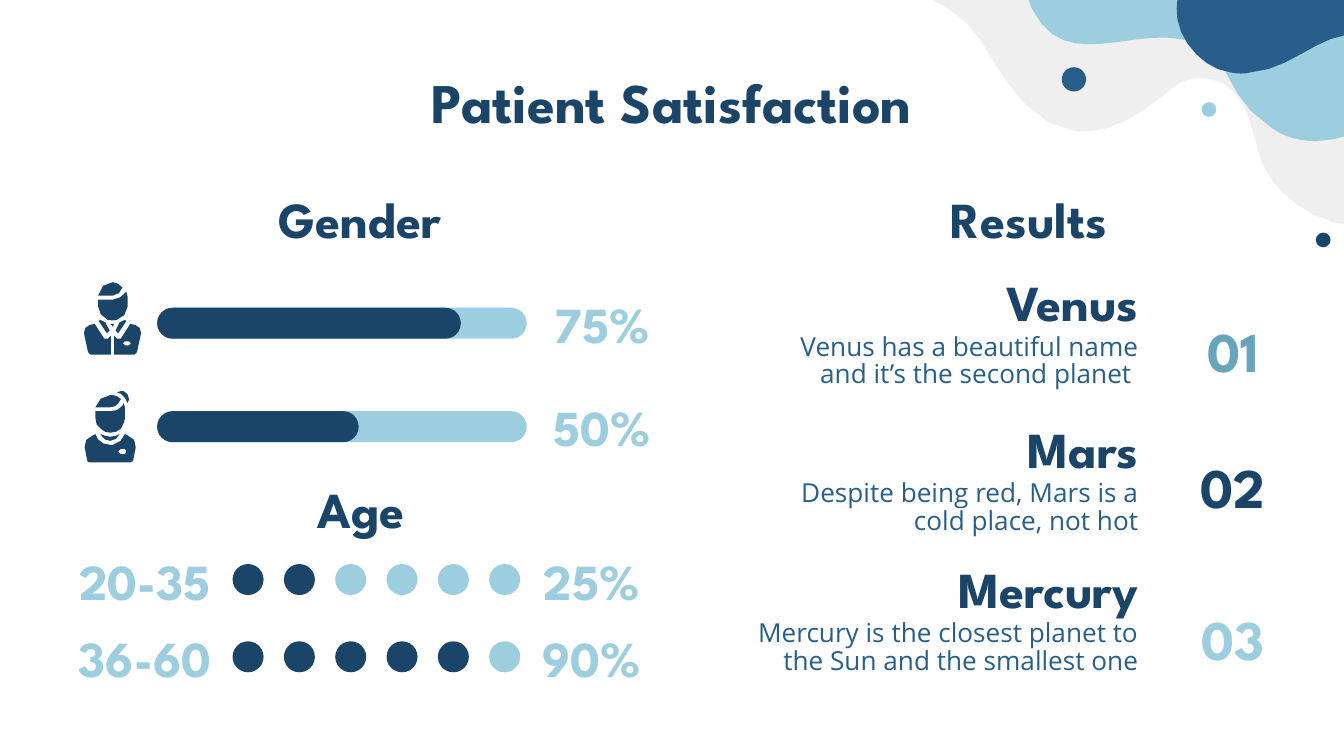
from pptx import Presentation
from pptx.dml.color import RGBColor
from pptx.enum.shapes import MSO_SHAPE
from pptx.enum.text import MSO_ANCHOR, PP_ALIGN
from pptx.util import Pt

NAVY = RGBColor(0x1A, 0x45, 0x68)
BLUE = RGBColor(0x28, 0x5E, 0x89)
TEAL = RGBColor(0x66, 0xA5, 0xBB)
SKY = RGBColor(0x9D, 0xCE, 0xDF)
GREY = RGBColor(0xEF, 0xEF, 0xEF)

DISPLAY, BODY = "League Spartan", "Open Sans"
CENTER, RIGHT = PP_ALIGN.CENTER, PP_ALIGN.RIGHT
TOP, MIDDLE = MSO_ANCHOR.TOP, MSO_ANCHOR.MIDDLE
OVAL, PILL = MSO_SHAPE.OVAL, MSO_SHAPE.ROUNDED_RECTANGLE

# Outlines are drawn on a grid with 100 units to the inch.
GRID = 0.72
WAVE_STEPS, ICON_STEPS = 6, 2
CORNER_WAVES = [
    (GREY, "M 666 -9 C 668 -6 689 -2 694 0 C 704 5 713 11 721 19 "
           "C 739 37 755 91 801 98 L 807 98 C 838 98 865 70 876 63 "
           "C 881 60 887 58 893 58 C 899 58 905 60 910 62 C 931 74 931 100 939 121 "
           "C 950 146 976 164 1005 168 C 1003 112 1007 57 1016 2 L 898 -7 L 735 -12 L 695 -13"),
    (SKY, "M 979 105 C 1005 105 1026 89 1026 89 L 1026 -8 L 762 -8 C 773 26 790 33 811 33 "
          "C 828 33 846 28 865 28 C 872 28 879 29 886 31 C 918 39 908 71 946 95 "
          "C 957 103 968 105 979 105"),
    (BLUE, "M 930 54 C 926 55 921 55 916 54 C 897 52 879 33 876 14 C 874 0 878 -21 893 -33 "
           "L 909 -39 L 921 -39 L 1061 -31 L 1074 -32 L 1071 0 C 1069 10 1065 27 1055 33 "
           "L 1047 35 C 1035 36 1023 25 1004 26 L 1002 26 C 978 29 959 52 930 54"),
]

MAN_AXIS = 83.75
MAN_FACE = ("M 94 217 C 92 220 88 223 84 223 L 73 223 L 73 228 C 73 232 76 236 80 238 "
            "L 84 238.5 L 87 238 C 91 237 95 233 95 228 L 95 221 L 94 217")
MAN_HAIR = "M 84 210 C 78 210 74 214 73 220 L 84 220 C 87 220 91 217 91 214 C 89 212 87 210 84 210"
MAN_KNOT = "M 82 241 L 84 243 L 85 241"
COLLAR = "M 93 238 L 89 240 L 86 246 L 88 248 L 94 239"
JACKET = ("M 97 241 L 90 252 L 87 252 L 85 250 L 85 264 L 100 264 "
          "L 102 262 L 105 248 C 105 245 104 243 101 242")
MAN_BADGE = " M 96 254 C 98 254 98 257 96 257 L 93 257 C 91 257 91 254 93 254"

WOMAN = [
    "M 82 294 C 77 294 72 298 71 303 L 82 303 C 85 303 87 302 88 300 L 90 297 "
    "C 88 295 86 294 84 294",
    "M 92 300 L 91 302 C 89 305 86 306 82 306 L 71 306 L 71 311 L 72 316 L 75 319 "
    "C 77 321 79 322 82 322 C 85 322 88 321 90 319 L 91 317 C 92 315 93 313 93 311 L 93 303",
    "M 89 323 C 87 324 85 325 82 325 C 80 325 77 324 75 323 L 76 325 "
    "C 77 327 80 328 82 328 C 85 328 88 326 89 323",
    "M 90 291 L 87 292 L 90 293 L 93 296 L 95 300 L 96 297 C 96 294 94 292 92 291",
    "M 93 334 L 94 336 L 93 338 L 90 338 L 88 336 L 90 334 "
    "M 71 323 L 69 324 C 65 325 62 329 63 333 L 65 343 L 66 344 L 97 344 L 99 343 L 101 333 "
    "C 102 329 99 325 95 324 L 93 323 C 92 327 88 330 84 331 L 82 331 C 79 331 75 330 73 327",
]


def paint(shape, color):
    shape.fill.solid()
    shape.fill.fore_color.rgb = color
    shape.line.fill.background()
    shape.shadow.inherit = False


def curve_points(start, c1, c2, end, steps):
    """Return points along a cubic Bezier curve, without its start."""
    points = []
    for step in range(1, steps + 1):
        t = step / steps
        u = 1 - t
        points.append(tuple(
            u**3 * a + 3 * u * u * t * b + 3 * u * t * t * c + t**3 * d
            for a, b, c, d in zip(start, c1, c2, end)))
    return points


def contours(outline, steps):
    """Turn M, L and C commands into one list of grid points per contour."""
    result = []
    for command in outline.replace("M", "|M").replace("L", "|L").replace("C", "|C").split("|")[1:]:
        numbers = [float(n) for n in command[1:].split()]
        points = list(zip(numbers[::2], numbers[1::2]))
        if command[0] == "M":
            result.append(points)
        elif command[0] == "L":
            result[-1] += points
        else:
            result[-1] += curve_points(result[-1][-1], *points, steps)
    return result


def add_outline(shapes, outline, color, steps=ICON_STEPS, mirror_axis=None):
    builder = None
    for contour in contours(outline, steps):
        if mirror_axis is not None:
            contour = [(2 * mirror_axis - x, y) for x, y in contour]
        start, *rest = [(Pt(x * GRID), Pt(y * GRID)) for x, y in contour]
        if builder is None:
            builder = shapes.build_freeform(*start)
        else:
            builder.move_to(*start)
        builder.add_line_segments(rest, close=True)
    paint(builder.convert_to_shape(), color)


def add_preset(slide, kind, left, top, width, height, color):
    shape = slide.shapes.add_shape(kind, Pt(left), Pt(top), Pt(width), Pt(height))
    if kind == PILL:
        shape.adjustments[0] = 0.5
    paint(shape, color)


def write(shape, text, size, color, align=CENTER, anchor=MIDDLE, font=DISPLAY, spacing=None):
    frame = shape.text_frame
    frame.word_wrap = True
    frame.vertical_anchor = anchor
    frame.margin_left = frame.margin_right = frame.margin_top = frame.margin_bottom = Pt(7.2)
    paragraph = frame.paragraphs[0]
    paragraph.alignment = align
    if spacing:
        paragraph.line_spacing = spacing
    run = paragraph.add_run()
    run.text = text
    run.font.name = font
    run.font.size = Pt(size)
    run.font.bold = font == DISPLAY
    run.font.color.rgb = color


def add_text(slide, text, left, top, width, height, size=27, color=NAVY, **style):
    box = slide.shapes.add_textbox(Pt(left), Pt(top), Pt(width), Pt(height))
    write(box, text, size, color, **style)


def add_title(slide, text):
    title = slide.shapes.title
    title.left, title.top, title.width, title.height = Pt(42.5), Pt(28.8), Pt(635), Pt(45.4)
    write(title, text, 30, NAVY, anchor=TOP)


def add_corner(slide):
    for color, wave in CORNER_WAVES:
        add_outline(slide.shapes, wave, color, WAVE_STEPS)
    for left, top, size, color in [(568.8, 36, 13, BLUE), (643.7, 54.7, 7.9, SKY),
                                   (704.9, 124.6, 7.9, NAVY)]:
        add_preset(slide, OVAL, left, top, size, size, color)


def add_man(slide):
    shapes = slide.shapes.add_group_shape().shapes
    for part in (MAN_FACE, MAN_HAIR, MAN_KNOT, COLLAR, JACKET + MAN_BADGE):
        add_outline(shapes, part, NAVY)
    for part in (COLLAR, JACKET):
        add_outline(shapes, part, NAVY, mirror_axis=MAN_AXIS)


def add_woman(slide):
    shapes = slide.shapes.add_group_shape().shapes
    for part in WOMAN:
        add_outline(shapes, part, NAVY)


def add_gender_bar(slide, top, filled, share):
    add_preset(slide, PILL, 84.2, top, 198, 16.6, SKY)
    add_preset(slide, PILL, 84.2, top, filled, 16.6, NAVY)
    add_text(slide, share, 274.3, top - 5.8, 96.5, 28, color=SKY)


def add_age_row(slide, top, ages, filled, share):
    add_text(slide, ages, 29.5, top, 96.5, 28, color=SKY)
    for i in range(6):
        add_preset(slide, OVAL, 124.6 + 27.5 * i, top + 5.4, 16.6, 16.6,
                   NAVY if i < filled else SKY)
    add_text(slide, share, 268.6, top, 96.5, 28, color=SKY)


def add_result(slide, top, planet, description, number, number_top, number_color):
    add_text(slide, planet, 468.7, top, 148.3, 28, align=RIGHT)
    add_text(slide, description, 397.4, top + 24.2, 219.6, 45.4, 14, BLUE,
             align=RIGHT, anchor=TOP, font=BODY, spacing=0.88)
    add_text(slide, number, 602.6, number_top, 116, 57, 30, number_color)


def main():
    deck = Presentation()
    deck.slide_width, deck.slide_height = Pt(720), Pt(405)
    slide = deck.slides.add_slide(deck.slide_layouts[5])
    add_corner(slide)
    add_title(slide, "Patient Satisfaction")

    add_text(slide, "Gender", 111.6, 103, 162.7, 28)
    add_man(slide)
    add_gender_bar(slide, 164.9, 162.7, "75%")
    add_woman(slide)
    add_gender_bar(slide, 220.3, 108, "50%")

    add_text(slide, "Age", 136, 253.4, 115.2, 38.2)
    add_age_row(slide, 296.8, "20-35", 2, "25%")
    add_age_row(slide, 338.2, "36-60", 5, "90%")

    add_text(slide, "Results", 445.7, 103, 211, 28)
    add_result(slide, 147.7, "Venus", "Venus has a beautiful name and it’s the second planet ",
               "01", 159.1, TEAL)
    add_result(slide, 226, "Mars", "Despite being red, Mars is a cold place, not hot",
               "02", 231.8, NAVY)
    add_result(slide, 301, "Mercury",
               "Mercury is the closest planet to the Sun and the smallest one",
               "03", 313.2, SKY)
    deck.save("out.pptx")


if __name__ == "__main__":
    main()
